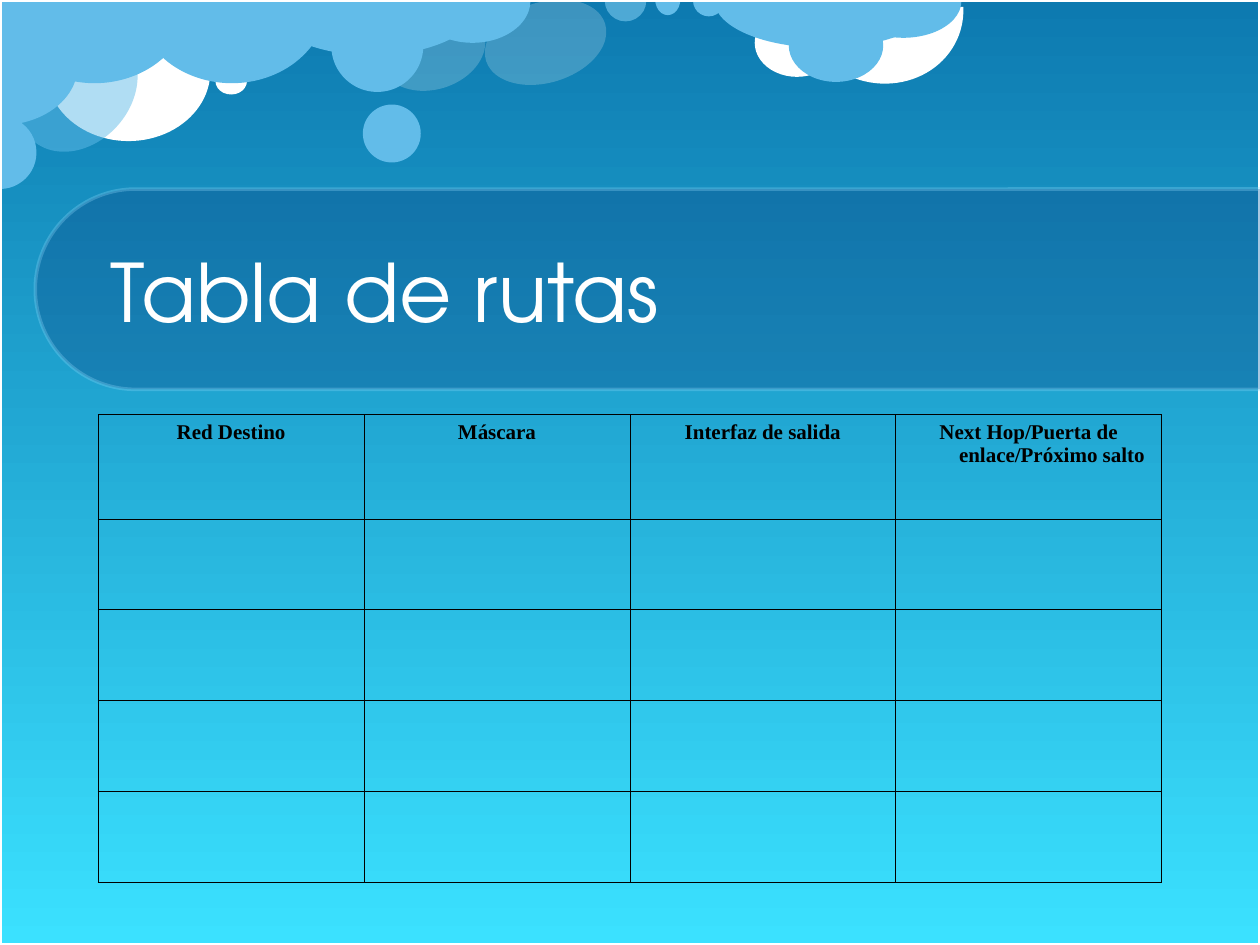
from dataclasses import dataclass

import pptx
import pptx.dml.color
import pptx.enum.shapes
import pptx.enum.text
import pptx.oxml
import pptx.oxml.ns
import pptx.util
from pptx.slide import Slide

COLUMNS, ROWS = 10, 7.5  # the page grid, in squares
SQUARE = pptx.util.Inches(1)
SHAPES = pptx.enum.shapes.MSO_SHAPE


@dataclass(frozen=True)
class Theme:
    sky_top: str = "0D7AB0"
    sky_bottom: str = "3BE1FF"
    cloud: str = "62BCE9"
    pale: str = "8FD9FB"
    band: str = "073779"
    white: str = "FFFFFF"
    black: str = "000000"
    title_font: str = "TeX Gyre Adventor"
    table_font: str = "Times New Roman"
    title_size: float = 46
    title_spacing: float = 56
    header_size: float = 12
    outline: float = 2
    rule: float = 0.45


THEME = Theme()


@dataclass(frozen=True)
class Puff:
    """A whole ellipse of a cloud, by its frame in grid squares."""
    left: float
    top: float
    width: float
    height: float
    color: str = THEME.cloud
    opacity: int = 100
    turn: float = 0


@dataclass(frozen=True)
class Dome(Puff):
    """Half of the ellipse, clockwise from the start angle."""
    start: float = 0


TO_RIGHT = 270  # turns the lower half of a dome to the right
CLOUDS = (
    Puff(3.11, -0.04, 0.64, 0.86, THEME.white, 20, 72.8),
    Puff(0.37, 0.01, 1.3, 1.11, THEME.white),
    Dome(6.39, -0.6, 1.21, 1.31, THEME.white, turn=106.5, start=253.5),
    Puff(5.99, 0.07, 0.67, 0.54, THEME.white),
    Dome(-0.01, -0.66, 1.52, 1.32),
    Dome(2.08, -0.44, 1.75, 0.88),
    Puff(2.88, 0.83, 0.46, 0.46),
    Puff(0.19, 0.18, 0.85, 1.07, THEME.cloud, 50, 41.8),
    Dome(-0.29, 0.92, 0.58, 0.58, turn=TO_RIGHT),
    Puff(1.71, 0.54, 0.25, 0.21, THEME.white),
    Dome(1.08, -0.66, 1.52, 1.32),
    Dome(5.67, -0.37, 1.75, 0.75),
    Puff(6.26, 0.07, 0.75, 0.58),
    Dome(6.71, -0.28, 0.92, 0.58),
    Puff(4.01, -0.16, 0.64, 0.99, THEME.white, 20, 72.8),
    Dome(4.8, -0.16, 0.33, 0.33, THEME.pale, 50),
    Dome(5.2, -0.13, 0.2, 0.25),
    Dome(5.5, -0.12, 0.25, 0.25),
    Puff(2.63, 0, 0.73, 0.73),
    Dome(3.29, -0.33, 0.92, 0.67),
    Dome(-0.47, -0.09, 0.93, 1.24, turn=TO_RIGHT),
)

MARGIN = 0.78
CONTENT_WIDTH = COLUMNS - 2 * MARGIN
BAND_LEFT, BAND_TOP, BAND_HEIGHT = 0.28, 1.5, 1.59
TABLE_TOP = 3.29
HEADER_HEIGHT, ROW_HEIGHT, EMPTY_ROWS = 0.83, 0.72, 4
HEADERS = ("Red Destino", "Máscara", "Interfaz de salida",
           "Next Hop/Puerta de enlace/Próximo salto")


def rgb(color: str) -> pptx.dml.color.RGBColor:
    return pptx.dml.color.RGBColor.from_string(color)


def squares(*counts: float) -> list[int]:
    return [round(count * SQUARE) for count in counts]


def paint(fill, color: str, opacity: int = 100) -> None:
    fill.solid()
    fill.fore_color.rgb = rgb(color)
    if opacity < 100:
        for node in fill._xPr.iter(pptx.oxml.ns.qn("a:srgbClr")):
            node.append(node.makeelement(
                pptx.oxml.ns.qn("a:alpha"), {"val": str(opacity * 1000)}))


def add_shape(page: Slide, kind, left: float, top: float,
              width: float, height: float, turn: float = 0):
    """Add a preset shape without shadow, placed in grid squares."""
    shape = page.shapes.add_shape(kind, *squares(left, top, width, height))
    shape.rotation = turn
    shape.shadow.inherit = False
    return shape


def add_cloud(page: Slide, part: Puff) -> None:
    is_dome = isinstance(part, Dome)
    shape = add_shape(page, SHAPES.CHORD if is_dome else SHAPES.OVAL,
                      part.left, part.top, part.width, part.height, part.turn)
    if is_dome:
        for index, angle in enumerate((part.start, part.start + 180)):
            shape.adjustments[index] = angle % 360 * 0.6  # 60000 units a degree
    paint(shape.fill, part.color, part.opacity)
    shape.line.fill.background()


def add_sky(page: Slide) -> None:
    fill = page.background.fill
    fill.gradient()
    fill.gradient_angle = 270
    for position, (stop, color) in enumerate(
            zip(fill.gradient_stops, (THEME.sky_top, THEME.sky_bottom))):
        stop.position = position
        stop.color.rgb = rgb(color)


def add_frame(page: Slide) -> None:
    frame = add_shape(page, SHAPES.RECTANGLE, 0, 0, COLUMNS, ROWS)
    frame.fill.background()
    paint(frame.line.fill, THEME.white)
    frame.line.width = pptx.util.Pt(THEME.outline)


def add_band(page: Slide) -> None:
    """Add the title band: an upright tab laid on its side, round end left."""
    length = COLUMNS - BAND_LEFT
    left = BAND_LEFT + (length - BAND_HEIGHT) / 2
    top = BAND_TOP - (length - BAND_HEIGHT) / 2
    band = add_shape(page, SHAPES.ROUND_2_SAME_RECTANGLE,
                     left, top, BAND_HEIGHT, length, 270)
    band.adjustments[0] = 0.5
    paint(band.fill, THEME.band, 30)
    paint(band.line.fill, THEME.pale, 30)
    band.line.width = pptx.util.Pt(THEME.outline)


def style_runs(paragraph, font: str, size: float, color: str, bold: bool) -> None:
    for span in paragraph.runs:
        span.font.name = font
        span.font.size = pptx.util.Pt(size)
        span.font.bold = bold
        span.font.color.rgb = rgb(color)


def set_title(page: Slide, text: str) -> None:
    title = page.shapes.title
    title.left, title.top, title.width, title.height = squares(
        MARGIN, BAND_TOP, CONTENT_WIDTH, BAND_HEIGHT)
    title.text_frame.text = text
    title.text_frame.vertical_anchor = pptx.enum.text.MSO_ANCHOR.MIDDLE
    paragraph = title.text_frame.paragraphs[0]
    paragraph.alignment = pptx.enum.text.PP_ALIGN.LEFT
    paragraph.line_spacing = pptx.util.Pt(THEME.title_spacing)
    style_runs(paragraph, THEME.title_font, THEME.title_size, THEME.white, False)
    page.shapes._spTree.append(title._element)  # in front of the band


def rule_cell(cell) -> None:
    """Thin border on every side, no fill."""
    properties = cell._tc.get_or_add_tcPr()
    for side in "LRTB":
        properties.append(pptx.oxml.parse_xml(
            f'<a:ln{side} {pptx.oxml.ns.nsdecls("a")} w="{pptx.util.Pt(THEME.rule)}">'
            f'<a:solidFill><a:srgbClr val="{THEME.black}"/></a:solidFill></a:ln{side}>'))
    cell.fill.background()


def add_routes(page: Slide) -> None:
    heights = [HEADER_HEIGHT] + [ROW_HEIGHT] * EMPTY_ROWS
    table = page.shapes.add_table(
        len(heights), len(HEADERS),
        *squares(MARGIN, TABLE_TOP, CONTENT_WIDTH, sum(heights))).table
    table.first_row = table.horz_banding = False
    for row, height in zip(table.rows, squares(*heights)):
        row.height = height
    for cell in table.iter_cells():
        rule_cell(cell)
    hanging, = squares(0.37)
    for column, header in enumerate(HEADERS):
        cell = table.cell(0, column)
        cell.text_frame.text = header
        paragraph = cell.text_frame.paragraphs[0]
        paragraph.alignment = pptx.enum.text.PP_ALIGN.CENTER
        indents = paragraph._p.get_or_add_pPr()
        indents.set("marL", str(hanging))
        indents.set("indent", str(-hanging))
        style_runs(paragraph, THEME.table_font, THEME.header_size, THEME.black, True)


def main() -> None:
    deck = pptx.Presentation()
    deck.slide_width, deck.slide_height = squares(COLUMNS, ROWS)
    page = deck.slides.add_slide(deck.slide_layouts.get_by_name("Title Only"))
    add_sky(page)
    for part in CLOUDS:
        add_cloud(page, part)
    add_frame(page)
    add_band(page)
    set_title(page, "Tabla de rutas")
    add_routes(page)
    deck.save("out.pptx")


if __name__ == "__main__":
    main()
